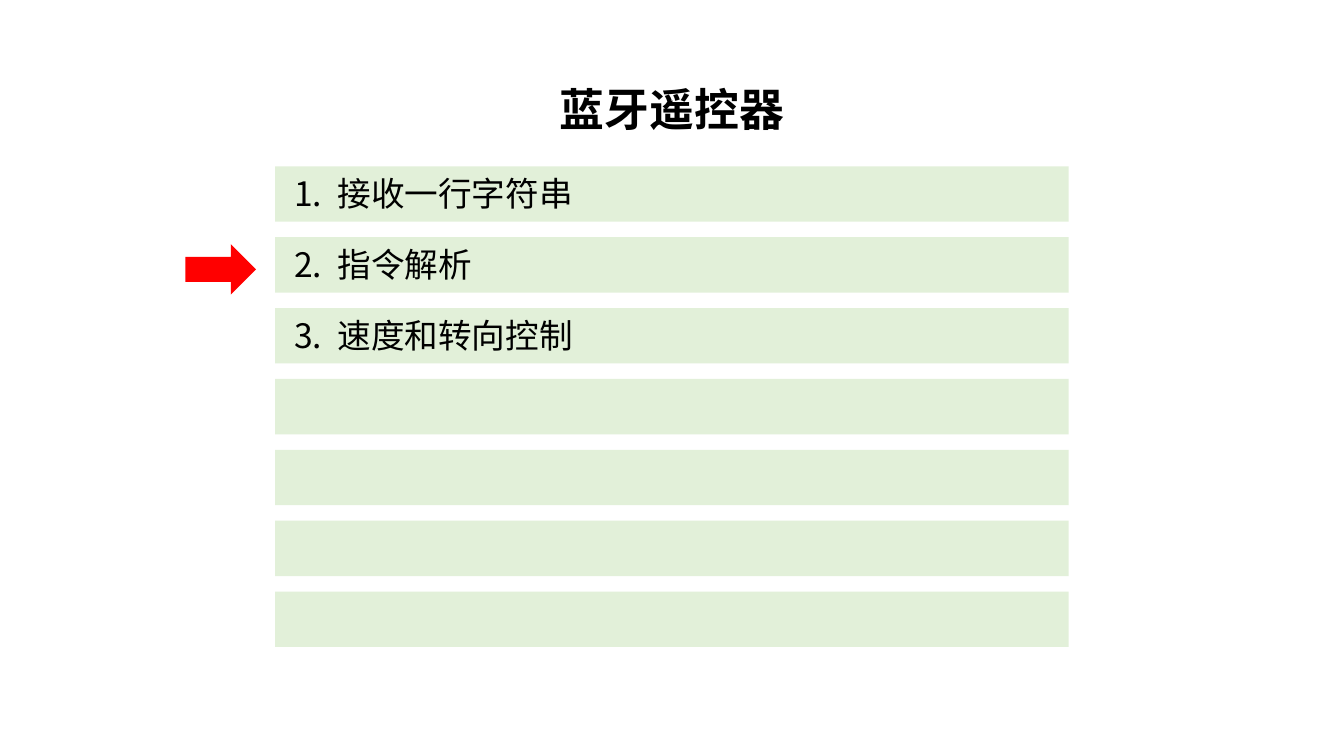
import pptx
import pptx.dml.color
import pptx.enum.shapes
import pptx.enum.text
import pptx.oxml
import pptx.oxml.ns
import pptx.util
from pptx.util import Inches

FONT = "Noto Sans CJK SC"
STEPS = ["接收一行字符串", "指令解析", "速度和转向控制"]
ROW_COUNT = 7
ROW_PITCH = 0.703
ROW_HEIGHT = 0.55
CURRENT_ROW = 1
NUMBER_WIDTH = 0.43


def color(value):
    return pptx.dml.color.RGBColor.from_string(value)


def add_block(page, kind, left, top, width, height, fill):
    block = page.shapes.add_shape(
        kind, Inches(left), Inches(top), Inches(width), Inches(height))
    block.shadow.inherit = False
    block.fill.solid()
    block.fill.fore_color.rgb = color(fill)
    block.line.fill.background()


def add_text(page, text, left, top, width, height, size, bold=False,
             align=pptx.enum.text.PP_ALIGN.LEFT, tab=None):
    """Place one line of text, with an optional tab stop in inches."""
    box = page.shapes.add_textbox(
        Inches(left), Inches(top), Inches(width), Inches(height))
    box.text_frame.word_wrap = tab is not None
    para = box.text_frame.paragraphs[0]
    para.text = text
    para.alignment = align
    properties = para._p.get_or_add_pPr()
    if tab is not None:
        properties.append(pptx.oxml.parse_xml(
            f'<a:tabLst {pptx.oxml.ns.nsdecls("a")}>'
            f'<a:tab pos="{Inches(tab)}" algn="l"/></a:tabLst>'))
    para.font.size = pptx.util.Pt(size)
    para.font.bold = bold
    para.font.color.rgb = color("000000")
    para.font.name = FONT
    defaults = properties.find(pptx.oxml.ns.qn("a:defRPr"))
    defaults.append(pptx.oxml.parse_xml(
        f'<a:ea {pptx.oxml.ns.nsdecls("a")} typeface="{FONT}"/>'))


def add_title(page, left, top, width, height):
    add_text(page, "蓝牙遥控器", left, top, width, height, 32, bold=True,
             align=pptx.enum.text.PP_ALIGN.CENTER)


def add_step_list(page, left, top, width):
    """Draw the rows, the numbered steps and the arrow at the current row."""
    shapes = pptx.enum.shapes.MSO_SHAPE
    for row in range(ROW_COUNT):
        row_top = top + row * ROW_PITCH
        add_block(page, shapes.RECTANGLE, left, row_top, width, ROW_HEIGHT, "E2F0D9")
        if row < len(STEPS):
            add_text(page, f"{row + 1}.\t{STEPS[row]}", left + 0.09, row_top + 0.02,
                     3.06, 0.5, 24, tab=NUMBER_WIDTH)
    arrow_top = top + CURRENT_ROW * ROW_PITCH + 0.07
    add_block(page, shapes.RIGHT_ARROW, left - 0.89, arrow_top, 0.7, 0.5, "FF0000")


def main():
    deck = pptx.Presentation()
    deck.slide_width = Inches(13.33)
    deck.slide_height = Inches(7.5)
    page = deck.slides.add_slide(deck.slide_layouts[6])
    add_title(page, 5.44, 0.76, 2.45, 0.64)
    add_step_list(page, 2.73, 1.65, 7.87)
    deck.save("out.pptx")


if __name__ == "__main__":
    main()
